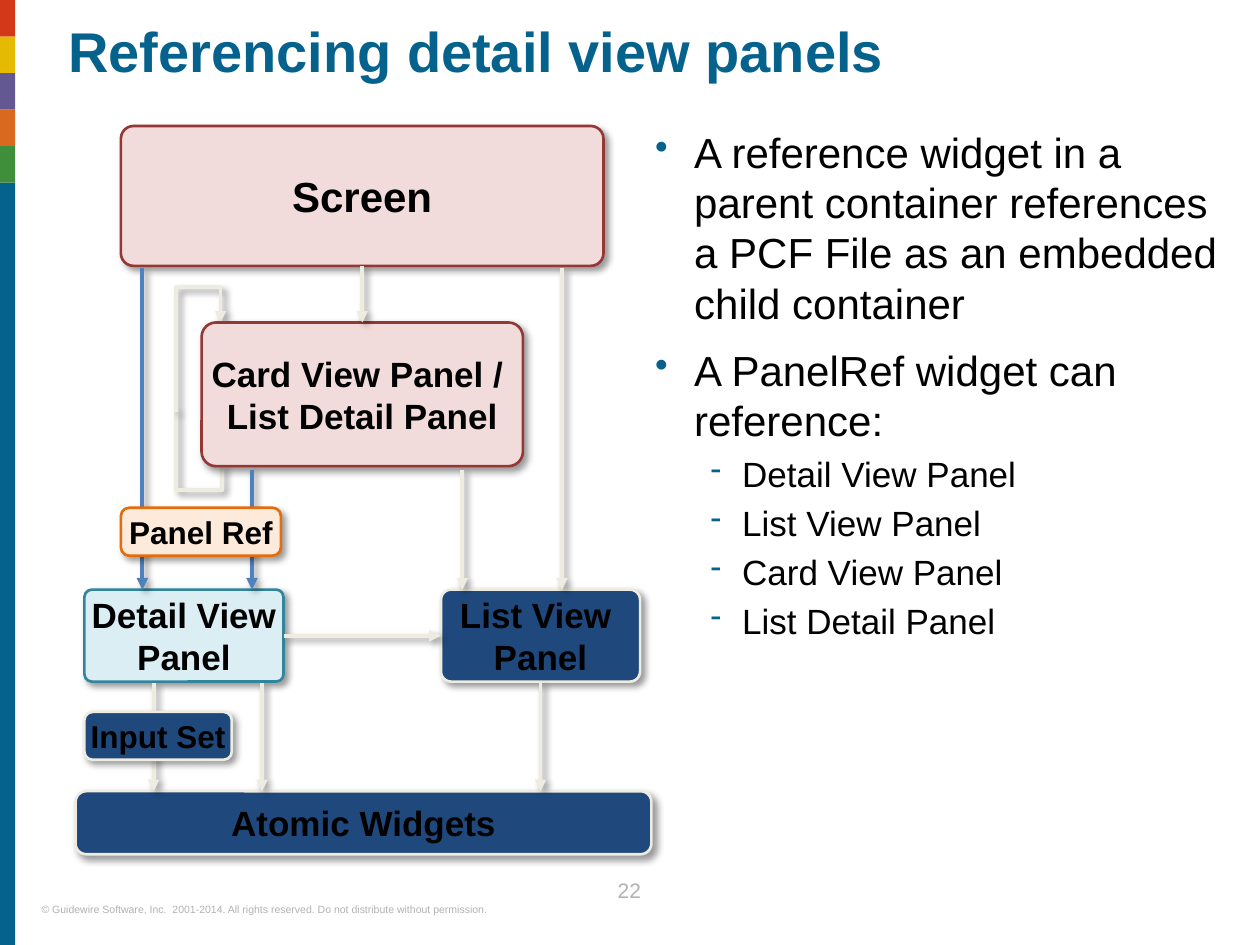
from lxml import etree
from pptx import Presentation
from pptx.dml.color import RGBColor
from pptx.enum.shapes import MSO_CONNECTOR, MSO_SHAPE
from pptx.enum.text import MSO_ANCHOR, PP_ALIGN
from pptx.oxml.ns import qn
from pptx.util import Pt

PX = 9144
RECTANGLE = MSO_SHAPE.RECTANGLE
ROUNDED = MSO_SHAPE.ROUNDED_RECTANGLE
STRAIGHT = MSO_CONNECTOR.STRAIGHT
ELBOW = MSO_CONNECTOR.ELBOW
MIDDLE = MSO_ANCHOR.MIDDLE
CENTER = PP_ALIGN.CENTER
TOP, LEFT, BOTTOM, RIGHT = range(4)
TEAL, GRAY, BLACK = "04628C", "B2B2B2", "000000"
CREAM, NAVY, BLUE = "EEECE1", "1F497D", "4F81BD"
CONTAINER = ("F2DCDB", "953735")
DETAIL = ("DBEEF4", "31859C")
REFERENCE = ("FDEADA", "E46C0A")
PLAIN = (NAVY, CREAM)


def color(hex_code):
    """Turn a hex string into a colour."""
    return RGBColor.from_string(hex_code)


def px(*lengths):
    """Scale whole px lengths to EMU."""
    return [length * PX for length in lengths]


def add_child(parent, tag, **attributes):
    """Append an XML child with the given attributes."""
    child = etree.SubElement(parent, qn(tag))
    for name, value in attributes.items():
        child.set(name, str(value))
    return child


def add_shadow(effects):
    """Fill an effect list with the soft diagonal shadow."""
    shadow = add_child(effects, "a:outerShdw", blurRad=Pt(4), dist=Pt(3),
                       dir=2700000, algn="tl", rotWithShape=0)
    tint = add_child(shadow, "a:srgbClr", val=BLACK)
    add_child(tint, "a:alpha", val=40000)


def add_run(paragraph, text, size, hex_code, bold=False):
    """Add one styled run."""
    run = paragraph.add_run()
    run.text = text
    run.font.name = "Arial"
    run.font.size = Pt(size)
    run.font.bold = bold
    run.font.color.rgb = color(hex_code)


def clear_margins(frame):
    """Remove the insets of a text frame."""
    frame.margin_left = frame.margin_top = 0
    frame.margin_right = frame.margin_bottom = 0


def add_text_frame(slide, bounds):
    """Add a wrapping text box and return its frame."""
    frame = slide.shapes.add_textbox(*px(*bounds)).text_frame
    clear_margins(frame)
    frame.word_wrap = True
    return frame


def add_stripe(slide, top, height, hex_code):
    """Add one block of the left colour band."""
    stripe = slide.shapes.add_shape(RECTANGLE, *px(0, top, 12, height))
    stripe.shadow.inherit = False
    stripe.fill.solid()
    stripe.fill.fore_color.rgb = color(hex_code)
    stripe.line.fill.background()


def add_box(slide, bounds, lines, size, colors, rounding):
    """Add a rounded, shadowed box with a bold label."""
    fill, outline = colors
    box = slide.shapes.add_shape(ROUNDED, *px(*bounds))
    box.adjustments[0] = rounding
    box.shadow.inherit = False
    box.fill.solid()
    box.fill.fore_color.rgb = color(fill)
    box.line.color.rgb = color(outline)
    box.line.width = Pt(1.5)
    add_shadow(box._element.spPr.find(qn("a:effectLst")))
    frame = box.text_frame
    clear_margins(frame)
    frame.word_wrap = False
    frame.vertical_anchor = MIDDLE
    label = frame.paragraphs[0]
    label.alignment = CENTER
    for index, line in enumerate(lines):
        if index:
            label.add_line_break()
        add_run(label, line, size, BLACK, True)
    return box


def style_connector(connector, hex_code, arrow_end=None):
    """Set line, arrowhead and shadow of a connector."""
    connector.line.color.rgb = color(hex_code)
    connector.line.width = Pt(2.25)
    properties = connector._element.spPr
    if arrow_end:
        add_child(properties.find(qn("a:ln")), arrow_end, type="triangle")
    add_shadow(add_child(properties, "a:effectLst"))


def add_arrow(slide, start, end, hex_code=CREAM, source=None, target=None):
    """Add a straight arrow, joined to boxes where given."""
    arrow = slide.shapes.add_connector(STRAIGHT, *px(*start, *end))
    if source:
        arrow.begin_connect(*source)
    if target:
        arrow.end_connect(*target)
    style_connector(arrow, hex_code, "a:tailEnd")


def add_loop_half(slide, bounds, degrees, bend, flip=False, arrow_end=None):
    """Add a turned elbow connector for the self reference."""
    left, top, width, height = bounds
    elbow = slide.shapes.add_connector(
        ELBOW, *px(left, top, left + width, top + height))
    properties = elbow._element.spPr
    transform = properties.find(qn("a:xfrm"))
    transform.set("rot", str(degrees * 60000))
    if flip:
        transform.set("flipV", "1")
    guides = properties.find(qn("a:prstGeom")).find(qn("a:avLst"))
    add_child(guides, "a:gd", name="adj1", fmla=f"val {bend}")
    style_connector(elbow, CREAM, arrow_end)


def add_bullet(paragraph, text, level):
    """Write one bulleted line at level 0 or 1."""
    symbol, size, before, margin, hanging = (
        ("•", 24, 9.6, 31, 31), ("-", 20, 4, 69, 25))[level]
    paragraph.level = level
    properties = paragraph._p.get_or_add_pPr()
    properties.set("marL", str(margin * PX))
    properties.set("indent", str(-hanging * PX))
    add_child(add_child(properties, "a:buClr"), "a:srgbClr", val=TEAL)
    add_child(properties, "a:buSzPct", val=90000)
    add_child(properties, "a:buChar", char=symbol)
    add_run(paragraph, text, size, BLACK)
    return before


def add_bullets(slide):
    """Add the explanation on the right."""
    frame = add_text_frame(slide, (520, 100, 450, 599))
    items = [
        ("A reference widget in a parent container references a PCF File "
         "as an embedded child container", 0),
        ("A PanelRef widget can reference:", 0),
        ("Detail View Panel", 1), ("List View Panel", 1),
        ("Card View Panel", 1), ("List Detail Panel", 1)]
    for index, (text, level) in enumerate(items):
        paragraph = frame.add_paragraph() if index else frame.paragraphs[0]
        before = add_bullet(paragraph, text, level)
        if index:
            paragraph.space_before = Pt(before)


def add_frame_elements(slide):
    """Add colour band, title, copyright line and page number."""
    add_stripe(slide, 145, 605, TEAL)
    for index, hex_code in enumerate(
            ("D33819", "E5BA03", "645893", "D8691E", "3F8E39")):
        add_stripe(slide, 29 * index, 29, hex_code)
    title = add_text_frame(slide, (54, 13, 910, 81))
    add_run(title.paragraphs[0], "Referencing detail view panels", 32, TEAL, True)
    rights = add_text_frame(slide, (33, 717, 402, 10))
    add_run(rights.paragraphs[0], "© Guidewire Software, Inc.  2001-2014. All "
            "rights reserved. Do not distribute without permission.", 6, GRAY)
    number = add_text_frame(slide, (471, 708, 57, 25)).paragraphs[0]
    number.alignment = CENTER
    number.line_spacing = Pt(6.3)
    add_run(number, "22", 12, GRAY)


def add_diagram(slide):
    """Add the container boxes and the arrows between them."""
    add_loop_half(slide, (136, 329, 44, 36), 270, -46000, flip=True)
    add_loop_half(slide, (122, 274, 71, 35), 90, -39400, arrow_end="a:headEnd")
    screen = add_box(slide, (96, 100, 383, 111), ["Screen"], 24, CONTAINER, 0.09)
    card = add_box(slide, (160, 256, 255, 114),
                   ["Card View Panel / ", "List Detail Panel"], 20, CONTAINER, 0.1)
    detail = add_box(slide, (67, 468, 158, 73),
                     ["Detail View", "Panel"], 20, DETAIL, 0.08)
    listing = add_box(slide, (350, 468, 158, 73),
                      ["List View ", "Panel"], 20, PLAIN, 0.11)
    add_box(slide, (60, 628, 457, 50), ["Atomic Widgets"], 20, PLAIN, 0.17)
    add_arrow(slide, (288, 211), (288, 256),
              source=(screen, BOTTOM), target=(card, TOP))
    for x, top, hex_code in ((367, 373, CREAM), (200, 373, BLUE),
                             (113, 213, BLUE), (446, 213, CREAM)):
        add_arrow(slide, (x, top), (x, 468), hex_code)
    for x, source in ((208, None), (429, (listing, BOTTOM)), (122, None)):
        add_arrow(slide, (x, 542), (x, 628), source=source)
    add_box(slide, (67, 565, 117, 38), ["Input Set"], 18, PLAIN, 0.17)
    add_box(slide, (96, 403, 127, 38), ["Panel Ref"], 18, REFERENCE, 0.17)
    add_arrow(slide, (225, 505), (350, 505),
              source=(detail, RIGHT), target=(listing, LEFT))


def main():
    """Build the slide and save it."""
    deck = Presentation()
    deck.slide_width, deck.slide_height = px(1000, 750)
    slide = deck.slides.add_slide(deck.slide_layouts[6])
    add_frame_elements(slide)
    add_bullets(slide)
    add_diagram(slide)
    deck.save("out.pptx")


if __name__ == "__main__":
    main()
